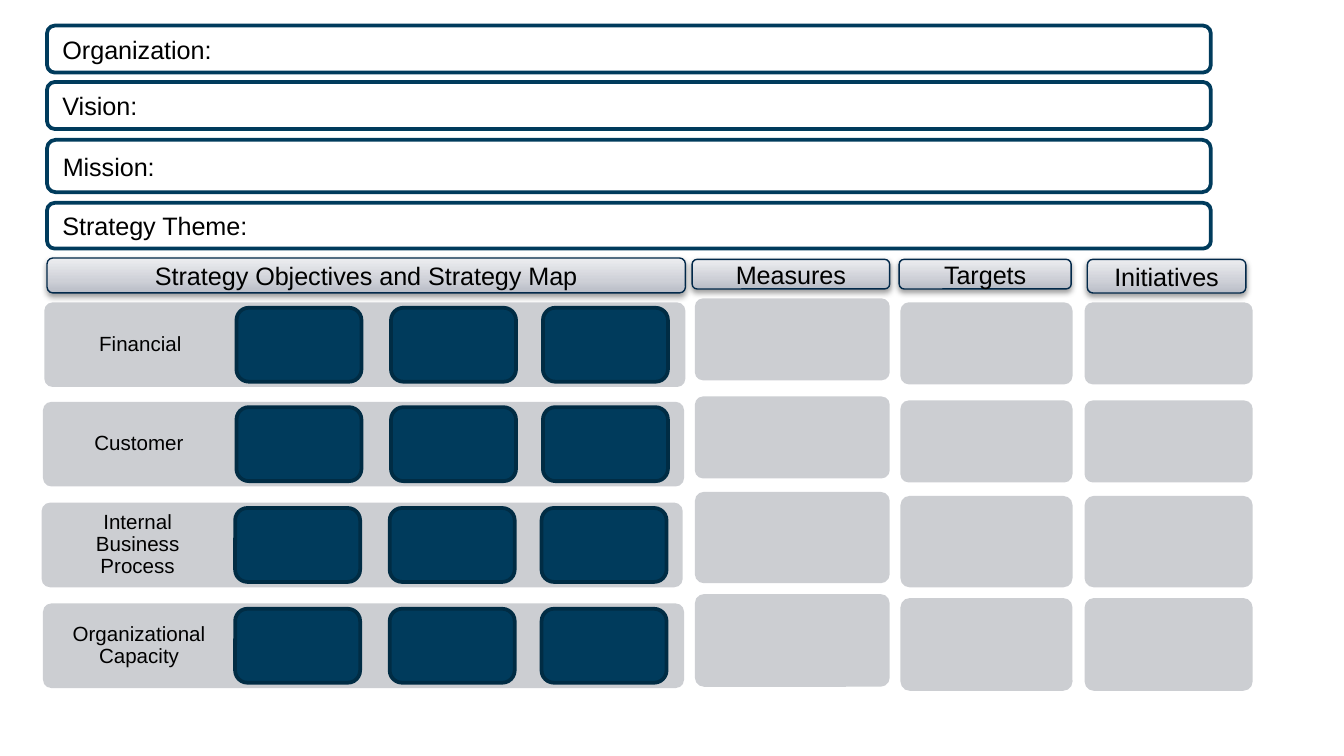
from copy import deepcopy
from dataclasses import dataclass

from pptx import Presentation
from pptx.dml.color import RGBColor
from pptx.enum.shapes import MSO_SHAPE
from pptx.enum.text import MSO_ANCHOR, PP_ALIGN
from pptx.oxml import parse_xml
from pptx.oxml.ns import nsdecls, qn
from pptx.util import Inches, Pt


@dataclass(frozen=True)
class Theme:
    font: str = "Arial"
    heading_size: float = 13.5
    label_size: float = 11
    text: str = "000000"
    paper: str = "FFFFFF"
    navy: str = "003B5C"
    navy_edge: str = "002C44"
    header_edge: str = "02294A"
    panel: str = "CCCED2"
    header_stops: tuple = ((0, "B8BCC6"), (0.35, "CED0D7"), (1, "ECEDF0"))


def write_text(shape, text, *, size, color, font, align=PP_ALIGN.LEFT,
               inset=None, line_spacing=None):
    frame = shape.text_frame
    frame.word_wrap = True
    frame.vertical_anchor = MSO_ANCHOR.MIDDLE
    if inset is not None:
        frame.margin_left = frame.margin_right = Inches(inset)
        frame.margin_top = frame.margin_bottom = Inches(inset)
    paragraph = frame.paragraphs[0]
    paragraph.alignment = align
    if line_spacing:
        paragraph.line_spacing = line_spacing
    run = paragraph.add_run()
    run.text = text
    run.font.name = font
    run.font.size = Pt(size)
    run.font.color.rgb = RGBColor.from_string(color)


class ScorecardSlide:
    def __init__(self, slide, theme):
        self.slide = slide
        self.theme = theme

    def rounded(self, box, fill=None, line=None, width=2, corner=None):
        shape = self.slide.shapes.add_shape(
            MSO_SHAPE.ROUNDED_RECTANGLE, *map(Inches, box))
        shape.shadow.inherit = False
        if corner is not None:
            shape.adjustments[0] = corner
        if fill:
            shape.fill.solid()
            shape.fill.fore_color.rgb = RGBColor.from_string(fill)
        if line:
            shape.line.color.rgb = RGBColor.from_string(line)
            shape.line.width = Pt(width)
        else:
            shape.line.fill.background()
        return shape

    def heading(self, shape, text, align):
        write_text(shape, text, size=self.theme.heading_size, align=align,
                   color=self.theme.text, font=self.theme.font)

    def statement(self, box, text):
        bar = self.rounded(box, self.theme.paper, self.theme.navy)
        self.heading(bar, text, PP_ALIGN.LEFT)

    def header(self, box, text):
        header = self.rounded(box, line=self.theme.header_edge, width=0.75)
        self.shade(header)
        self.cast_shadow(header)
        self.heading(header, text, PP_ALIGN.CENTER)

    def shade(self, shape):
        shape.fill.gradient()
        shape.fill.gradient_angle = 90
        # The default gradient has two stops; a third goes between them
        stop_list = shape._element.spPr.find(qn("a:gradFill")).find(qn("a:gsLst"))
        stop_list.insert(1, deepcopy(stop_list[0]))
        for stop, (position, color) in zip(shape.fill.gradient_stops,
                                           self.theme.header_stops):
            stop.position = position
            stop.color.rgb = RGBColor.from_string(color)

    def cast_shadow(self, shape):
        effects = shape._element.spPr.find(qn("a:effectLst"))
        effects.append(parse_xml(
            f'<a:outerShdw {nsdecls("a")} blurRad="{Pt(3.1)}" dist="{Pt(1.6)}" '
            f'dir="5400000" rotWithShape="0"><a:srgbClr val="{self.theme.text}">'
            '<a:alpha val="38000"/></a:srgbClr></a:outerShdw>'))

    def panel(self, box):
        self.rounded(box, self.theme.panel, corner=0.1)

    def objective(self, box):
        self.rounded(box, self.theme.navy, self.theme.navy_edge)

    def label(self, box, text):
        label = self.slide.shapes.add_textbox(*map(Inches, box))
        write_text(label, text, size=self.theme.label_size, inset=0.14,
                   align=PP_ALIGN.CENTER, line_spacing=0.9,
                   color=self.theme.text, font=self.theme.font)


# Top and height of each statement bar
STATEMENTS = (("Organization:", 0.19, 0.35), ("Vision:", 0.61, 0.35),
              ("Mission:", 1.04, 0.39), ("Strategy Theme:", 1.51, 0.34))

# Left and top of each perspective, then the left edge of its first objective
PERSPECTIVES = (("Financial", 0.33, 2.25, 1.76),
                ("Customer", 0.32, 2.99, 1.76),
                ("Internal Business Process", 0.31, 3.74, 1.75),
                ("Organizational Capacity", 0.32, 4.49, 1.75))
OBJECTIVE_OFFSETS = (0, 1.15, 2.28)

# Header box, then left, width and downward shift of the cells below it
COLUMNS = (("Measures", (5.15, 1.93, 1.47, 0.22), 5.17, 1.45, 0),
           ("Targets", (6.69, 1.93, 1.28, 0.22), 6.7, 1.28, 0.03),
           ("Initiatives", (8.09, 1.93, 1.18, 0.25), 8.07, 1.25, 0.03))
CELL_ROWS = ((2.22, 0.61), (2.95, 0.61), (3.66, 0.68), (4.42, 0.69))


def main():
    # Widescreen 16:9
    deck = Presentation()
    deck.slide_width = Inches(10)
    deck.slide_height = deck.slide_width * 9 // 16
    scorecard = ScorecardSlide(deck.slides.add_slide(deck.slide_layouts[6]), Theme())

    # Statements across the top
    for text, top, height in STATEMENTS:
        scorecard.statement((0.35, top, 8.66, height), text)

    # Strategy map: one band per perspective
    scorecard.header((0.35, 1.92, 4.75, 0.26), "Strategy Objectives and Strategy Map")
    for name, left, top, first_objective in PERSPECTIVES:
        scorecard.panel((left, top, 4.77, 0.63))
        scorecard.label((left, top, 1.43, 0.63), name)
        for offset in OBJECTIVE_OFFSETS:
            scorecard.objective((first_objective + offset, top + 0.04, 0.93, 0.55))

    # Measures, targets and initiatives
    for name, header_box, left, width, shift in COLUMNS:
        scorecard.header(header_box, name)
        for top, height in CELL_ROWS:
            scorecard.panel((left, top + shift, width, height))

    deck.save("out.pptx")


if __name__ == "__main__":
    main()
